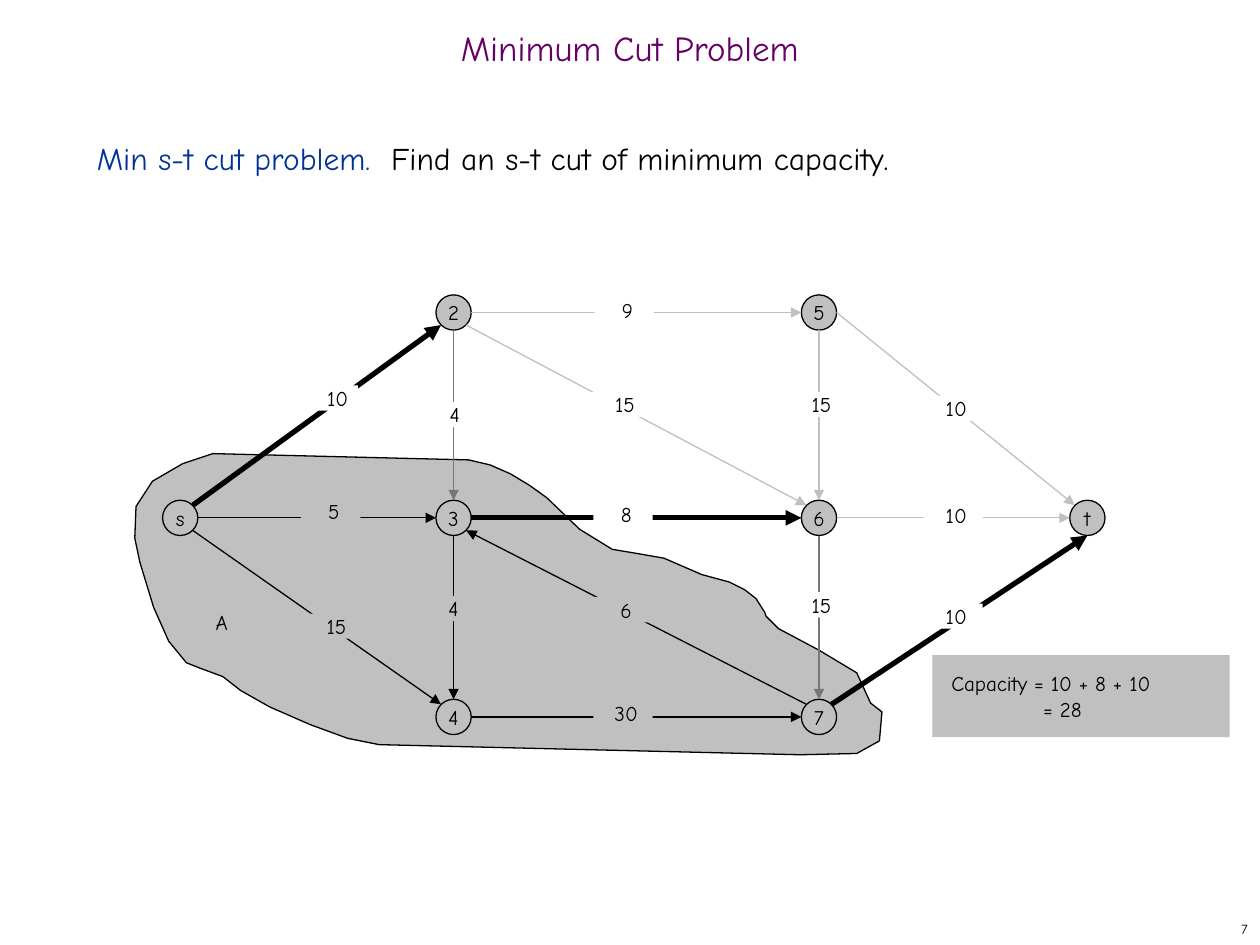
from pptx import Presentation
from pptx.dml.color import RGBColor
from pptx.enum.shapes import MSO_CONNECTOR, MSO_SHAPE
from pptx.enum.text import MSO_ANCHOR, PP_ALIGN
from pptx.oxml.ns import qn
from pptx.util import Inches, Pt
from lxml.etree import SubElement

FONT = "Comic Neue"
BLACK, WHITE, GREY, MID = "000000", "FFFFFF", "C0C0C0", "777777"
PURPLE, BLUE = "660066", "003399"
THIN, THICK = 0.74, 3
NODE = 0.28
LABEL_W, LABEL_H = 0.47, 0.2
SPACE = 0.05  # indent unit of the labels

# Network: column and row centres, then nodes as (column, row)
COLS, ROWS = (1.43, 3.6, 6.5, 8.63), (2.48, 4.11, 5.69)
NODES = {"s": (0, 1), "2": (1, 0), "3": (1, 1), "4": (1, 2),
         "5": (2, 0), "6": (2, 1), "7": (2, 2), "t": (3, 1)}

# Edges: from node, side, to node, side, colour, width
EDGES = [
    ("s", "NE", "2", "SW", BLACK, THICK), ("s", "E", "3", "W", BLACK, THIN),
    ("s", "SE", "4", "NW", BLACK, THIN), ("3", "E", "6", "W", BLACK, THICK),
    ("7", "NW", "3", "SE", BLACK, THIN), ("3", "S", "4", "N", BLACK, THIN),
    ("2", "E", "5", "W", GREY, THIN), ("4", "E", "7", "W", BLACK, THIN),
    ("2", "S", "3", "N", MID, THIN), ("6", "S", "7", "N", MID, THIN),
    ("5", "S", "6", "N", GREY, THIN), ("2", "SE", "6", "NW", GREY, THIN),
    ("5", "E", "t", "NW", GREY, THIN), ("6", "E", "t", "W", GREY, THIN),
    ("7", "NE", "t", "S", BLACK, THICK),
]

# Labels: text, left, top, fill, indent in units
LABELS = [
    ("15", 2.41, 4.87, GREY, 1), ("5", 2.39, 3.96, GREY, 1),
    ("30", 4.71, 5.56, GREY, 1), ("15", 6.26, 4.7, WHITE, 1),
    ("10", 2.37, 3.06, WHITE, 3), ("8", 4.71, 3.98, WHITE, 1),
    ("15", 4.7, 3.11, WHITE, 1), ("9", 4.72, 2.36, WHITE, 1),
    ("6", 4.71, 4.74, GREY, 1), ("10", 7.33, 4.79, WHITE, 1),
    ("10", 7.33, 3.99, WHITE, 1), ("10", 7.28, 3.14, WHITE, 3),
    ("15", 6.26, 3.11, WHITE, 1), ("4", 3.35, 3.19, WHITE, 1),
    ("4", 3.34, 4.73, GREY, 1), ("A", 1.45, 4.84, None, 3),
]

# Outline of set A
CUT = [
    (6.08, 4.89), (6.18, 4.99), (6.5, 5.16), (6.8, 5.34), (6.91, 5.58),
    (7, 5.65), (6.98, 5.88), (6.8, 5.98), (6.35, 5.99), (3.01, 5.91),
    (2.76, 5.86), (2.46, 5.75), (2.14, 5.61), (1.91, 5.48), (1.77, 5.37),
    (1.58, 5.3), (1.48, 5.26), (1.34, 5.09), (1.22, 4.82), (1.11, 4.46),
    (1.07, 4.27), (1.08, 4.02), (1.21, 3.82), (1.45, 3.68), (1.69, 3.6),
    (3.72, 3.65), (3.89, 3.69), (4.05, 3.76), (4.2, 3.85), (4.34, 3.95),
    (4.6, 4.2), (4.86, 4.36), (5.04, 4.39), (5.27, 4.43), (5.57, 4.56),
    (5.79, 4.62), (5.91, 4.68), (6, 4.75), (6.07, 4.86),
]

prs = Presentation()
prs.slide_width, prs.slide_height = Inches(10), Inches(7.5)
s = prs.slides.add_slide(prs.slide_layouts[6])


def rgb(value):
    return RGBColor.from_string(value)


def paint(sp, fill, line=None):
    sp.shadow.inherit = False
    sp.fill.solid()
    sp.fill.fore_color.rgb = rgb(fill)
    if line:
        sp.line.color.rgb = rgb(line)
        sp.line.width = Pt(THIN)
    else:
        sp.line.fill.background()


def write(sp, *runs, size=12, align=PP_ALIGN.CENTER,
          anchor=MSO_ANCHOR.MIDDLE, margins=(0, 0, 0, 0), wrap=True):
    """Write one paragraph of (text, colour) runs; None breaks the line."""
    tf = sp.text_frame
    tf.word_wrap, tf.vertical_anchor = wrap, anchor
    tf.margin_left, tf.margin_top, tf.margin_right, tf.margin_bottom = map(Inches, margins)
    p = tf.paragraphs[0]
    p.alignment = align
    p.font.name, p.font.size = FONT, Pt(size)
    for run in runs:
        if run is None:
            p.add_line_break()
            continue
        r = p.add_run()
        r.text, r.font.color.rgb = run[0], rgb(run[1])
    return p


def text_box(x, y, w, h, *runs, **style):
    sp = s.shapes.add_textbox(*map(Inches, (x, y, w, h)))
    return write(sp, *runs, **style)


def shape(kind, x, y, w, h, fill, line=None):
    sp = s.shapes.add_shape(kind, *map(Inches, (x, y, w, h)))
    paint(sp, fill, line)
    return sp


def centre(name):
    col, row = NODES[name]
    return COLS[col], ROWS[row]


def port(name, side):
    x, y = centre(name)
    reach = NODE / 2 if len(side) == 1 else 0.1
    return (x + reach * (("E" in side) - ("W" in side)),
            y + reach * (("S" in side) - ("N" in side)))


# Page number, statement and title
BOX = (0.1, 0.05, 0.1, 0.05)
text_box(7.92, 7.25, 2.08, 0.25, ("7", BLACK), size=8, align=PP_ALIGN.RIGHT, margins=BOX)
p = text_box(0.67, 1, 8.58, 5.92, ("Min s-t cut problem.  ", BLUE),
             ("Find an s-t cut of minimum capacity.", BLACK),
             size=18, align=PP_ALIGN.LEFT, anchor=MSO_ANCHOR.TOP, margins=BOX)
p.line_spacing = Pt(25.6)
p = text_box(0, 0.17, 10, 0.5, ("Minimum Cut Problem", PURPLE), size=20, margins=BOX)
p.line_spacing = 0.7

# Set A
builder = s.shapes.build_freeform(*map(Inches, CUT[0]), scale=1.0)
builder.add_line_segments([tuple(map(Inches, pt)) for pt in CUT[1:]], close=True)
paint(builder.convert_to_shape(), GREY, BLACK)

# Nodes
for name in NODES:
    x, y = centre(name)
    sp = shape(MSO_SHAPE.OVAL, x - NODE / 2, y - NODE / 2, NODE, NODE, GREY, BLACK)
    write(sp, (name, BLACK), wrap=False)

# Edges
for a, a_side, b, b_side, color, width in EDGES:
    ends = port(a, a_side) + port(b, b_side)
    cn = s.shapes.add_connector(MSO_CONNECTOR.STRAIGHT, *map(Inches, ends))
    cn.line.color.rgb, cn.line.width = rgb(color), Pt(width)
    SubElement(cn.line._get_or_add_ln(), qn("a:tailEnd"), type="triangle")
    SubElement(cn._element.spPr, qn("a:effectLst"))

# Capacities and the name of set A
for text, x, y, fill, indent in LABELS:
    style = {"anchor": MSO_ANCHOR.TOP, "margins": (indent * SPACE, 0, 0, 0)}
    if fill:
        sp = shape(MSO_SHAPE.RECTANGLE, x, y, LABEL_W, LABEL_H, fill)
        write(sp, (text, BLACK), **style)
    else:
        text_box(x, y, LABEL_W, LABEL_H, (text, BLACK), **style)

# Capacity of the cut, second line under the first equals sign
sp = shape(MSO_SHAPE.RECTANGLE, 7.4, 5.2, 2.36, 0.65, GREY)
p = write(sp, ("Capacity = 10 + 8 + 10", BLACK), None, ("= 28", BLACK),
          align=PP_ALIGN.LEFT, margins=(0.15, 0.1, 0.1, 0.1))
hang = Inches(0.73)
pPr = p._p.get_or_add_pPr()
pPr.set("marL", str(hang))
pPr.set("indent", str(-hang))

prs.save("out.pptx")
